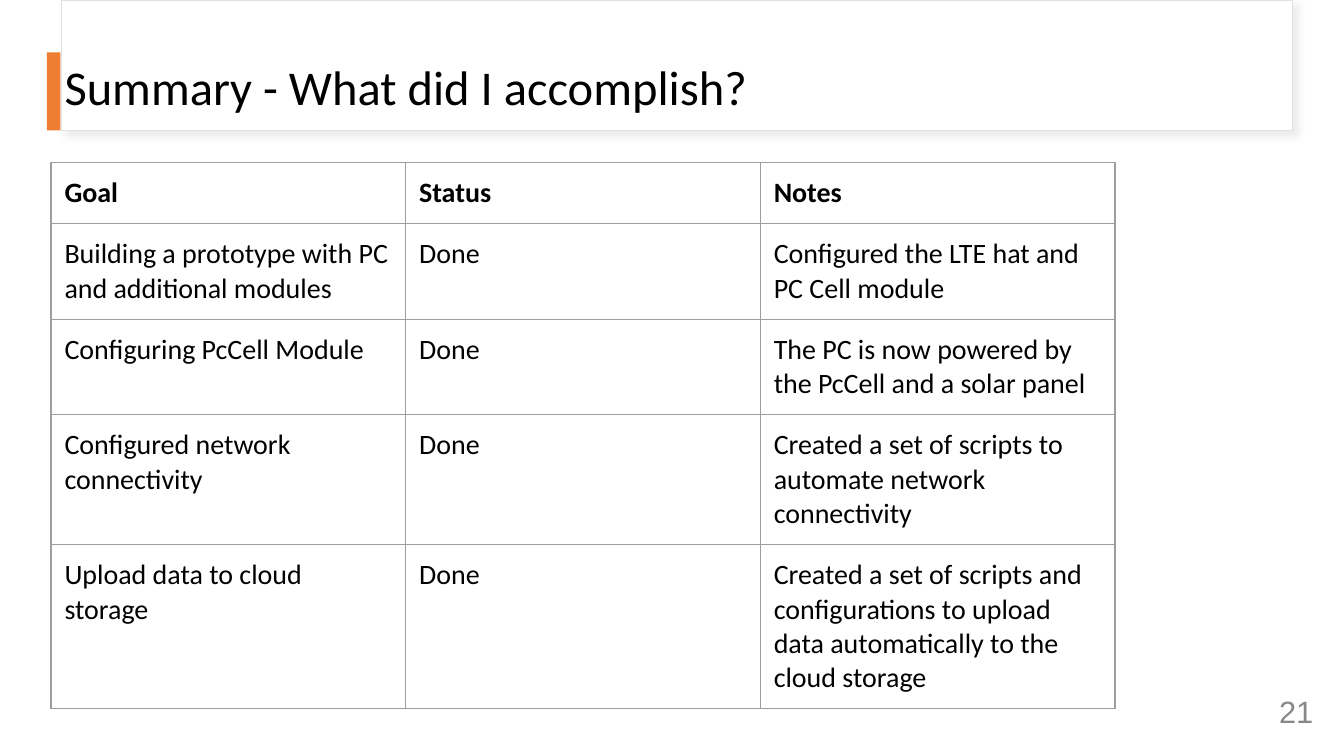
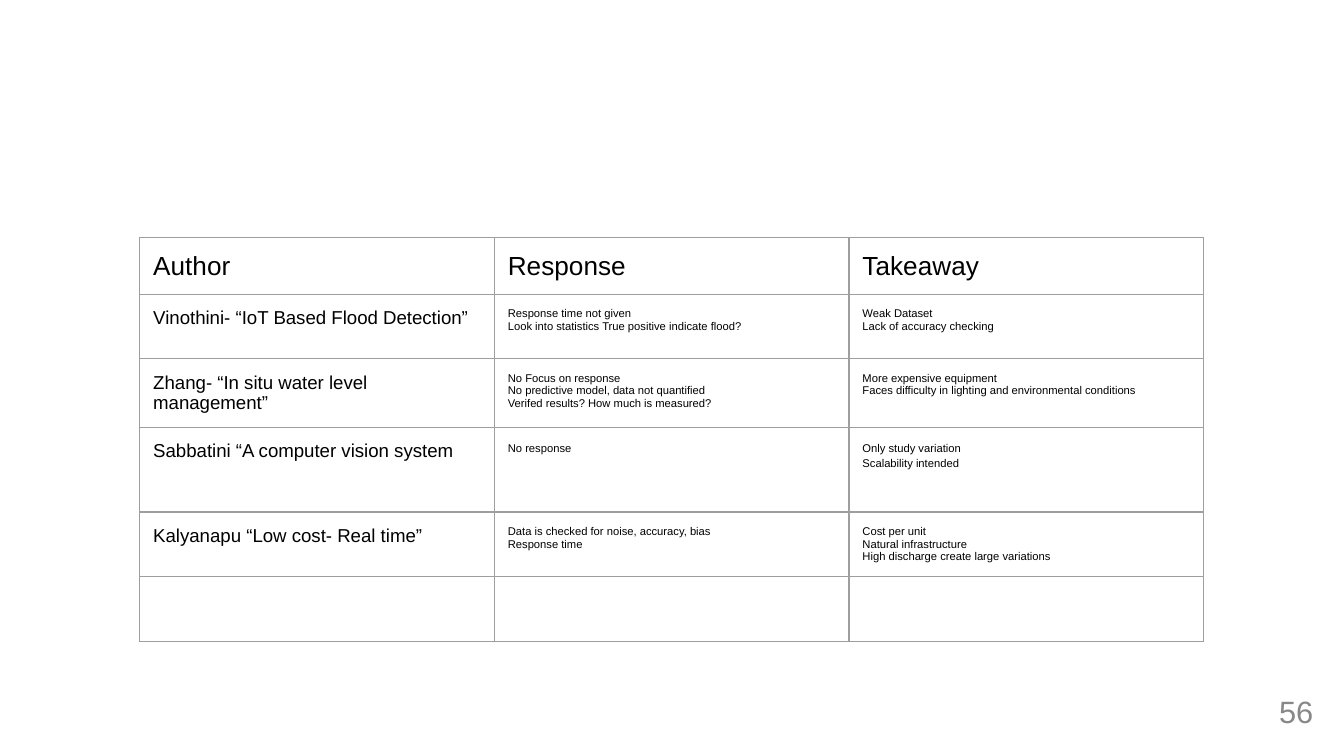
from lxml.etree import SubElement
from pptx import Presentation
from pptx.dml.color import RGBColor
from pptx.enum.shapes import MSO_SHAPE
from pptx.enum.text import MSO_ANCHOR, PP_ALIGN
from pptx.oxml import parse_xml
from pptx.oxml.ns import nsdecls, qn
from pptx.util import Inches, Pt

GOALS = [
    ["Goal", "Status", "Notes"],
    ["Building a prototype with PC and additional modules", "Done",
     "Configured the LTE hat and PC Cell module"],
    ["Configuring PcCell Module", "Done",
     "The PC is now powered by the PcCell and a solar panel"],
    ["Configured network connectivity", "Done",
     "Created a set of scripts to automate network connectivity"],
    ["Upload data to cloud storage", "Done",
     "Created a set of scripts and configurations to upload data "
     "automatically to the cloud storage"],
]
STUDIES = [
    ["Author", "Response", "Takeaway"],
    ["Vinothini- “IoT Based Flood Detection”",
     "Response time not given\nLook into statistics True positive indicate flood?",
     "Weak Dataset\nLack of accuracy checking"],
    ["Zhang- “In situ water level management”",
     "No Focus on response\nNo predictive model, data not quantified\n"
     "Verifed results? How much is measured?",
     "More expensive equipment\n"
     "Faces difficulty in lighting and environmental conditions"],
    ["Sabbatini “A computer vision system", "No response",
     "Only study variation\nScalability intended"],
    ["Kalyanapu “Low cost- Real time”",
     "Data is checked for noise, accuracy, bias\nResponse time",
     "Cost per unit\nNatural infrastructure\nHigh discharge create large variations"],
    ["", "", ""],
]
SLIDES = [
    {"title": "Summary - What did I accomplish?", "number": "21", "rows": GOALS,
     "corner": (0.38, 1.21), "heights": [0.45, 0.71, 0.71, 0.96, 1.22],
     "font": "Calibri", "sizes": (15, 15, 15), "bold_header": True, "loose_rows": ()},
    {"title": None, "number": "56", "rows": STUDIES,
     "corner": (1.04, 1.77), "heights": [0.42, 0.48, 0.51, 0.63, 0.48, 0.48],
     "font": "Arial", "sizes": (14, 10, 6), "bold_header": False, "loose_rows": (3,)},
]

WIDTH = 10
HEIGHT = WIDTH * 9 / 16
COLUMN_WIDTH = Pt(190)
MARGIN = Inches(0.1)
WHITE, BLACK, ORANGE, GREY = "FFFFFF", "000000", "ED7D31", "888888"
BAND_LINE, TABLE_LINE, SHADOW = "E1E1E1", "9E9E9E", "D8D8D8"


def color(value):
    return RGBColor.from_string(value)


def apply(target, values):
    for name, value in values.items():
        setattr(target, name, value)


def write(frame, text, font, size, ink=BLACK, bold=False, **paragraph_format):
    frame.text = text
    for paragraph in frame.paragraphs:
        apply(paragraph, paragraph_format)
        for target in (paragraph.font, *(run.font for run in paragraph.runs)):
            apply(target, {"name": font, "size": Pt(size), "bold": bold})
            target.color.rgb = color(ink)


def set_margins(target):
    apply(target, {f"margin_{side}": MARGIN for side in ("left", "top", "right", "bottom")})


def add_borders(cell):
    properties = cell._tc.get_or_add_tcPr()
    for index, side in enumerate("LRTB"):
        properties.insert(index, parse_xml(
            f'<a:ln{side} {nsdecls("a")} w="{Pt(0.75)}"><a:solidFill>'
            f'<a:srgbClr val="{TABLE_LINE}"/></a:solidFill></a:ln{side}>'))


def add_table(slide, content):
    rows = content["rows"]
    left, top = content["corner"]
    table = slide.shapes.add_table(
        len(rows), len(rows[0]), Inches(left), Inches(top),
        COLUMN_WIDTH * len(rows[0]), Inches(sum(content["heights"]))).table
    apply(table, {"first_row": False, "horz_banding": False})
    for column in table.columns:
        column.width = COLUMN_WIDTH
    header_size, label_size, detail_size = content["sizes"]
    for row_index, texts in enumerate(rows):
        table.rows[row_index].height = Inches(content["heights"][row_index])
        for column_index, text in enumerate(texts):
            cell = table.cell(row_index, column_index)
            cell.fill.background()
            add_borders(cell)
            set_margins(cell)
            header = row_index == 0
            size = header_size if header else detail_size if column_index else label_size
            loose = column_index and row_index in content["loose_rows"]
            write(cell.text_frame, text, content["font"], size,
                  bold=header and content["bold_header"],
                  line_spacing=1.15 if loose else 1.0)


def add_number(slide, number):
    box = slide.shapes.add_textbox(
        Inches(WIDTH - 0.73), Inches(HEIGHT - 0.52), Inches(0.6), Inches(0.43))
    frame = box.text_frame
    set_margins(frame)
    apply(frame, {"word_wrap": True, "vertical_anchor": MSO_ANCHOR.MIDDLE})
    write(frame, number, "Arial", 16.5, GREY, alignment=PP_ALIGN.RIGHT, line_spacing=0.8)


def add_rectangle(slide, left, top, width, height, fill, line=None):
    shape = slide.shapes.add_shape(
        MSO_SHAPE.RECTANGLE, Inches(left), Inches(top), Inches(width), Inches(height))
    shape.shadow.inherit = False
    shape.fill.solid()
    shape.fill.fore_color.rgb = color(fill)
    if line:
        shape.line.color.rgb = color(line)
        shape.line.width = Pt(0.75)
    else:
        shape.line.fill.background()
    return shape


def add_shadow(shape):
    effects = shape._element.spPr.find(qn("a:effectLst"))
    shadow = SubElement(effects, qn("a:outerShdw"), blurRad=str(Pt(4)), dist=str(Pt(3)),
                        dir=str(45 * 60000), algn="tl", rotWithShape="0")
    tint = SubElement(shadow, qn("a:srgbClr"), val=SHADOW)
    SubElement(tint, qn("a:alpha"), val="49000")


def add_title(slide, text):
    add_shadow(add_rectangle(slide, 0.46, 0, 9.16, 0.97, WHITE, BAND_LINE))
    add_rectangle(slide, 0.35, 0.39, 0.1, 0.58, ORANGE)
    title = slide.shapes.title
    apply(title, {"left": Inches(0.38), "top": Inches(0.37),
                  "width": Inches(9.32), "height": Inches(0.63)})
    set_margins(title.text_frame)
    apply(title.text_frame, {"word_wrap": True, "vertical_anchor": MSO_ANCHOR.TOP})
    write(title.text_frame, text, "Calibri", 26, alignment=PP_ALIGN.LEFT, line_spacing=0.9)
    slide.shapes._spTree.append(title._element)


def main():
    presentation = Presentation()
    apply(presentation, {"slide_width": Inches(WIDTH), "slide_height": Inches(HEIGHT)})
    title_only, blank = presentation.slide_layouts[5], presentation.slide_layouts[6]
    for content in SLIDES:
        slide = presentation.slides.add_slide(title_only if content["title"] else blank)
        slide.background.fill.solid()
        slide.background.fill.fore_color.rgb = color(WHITE)
        add_table(slide, content)
        add_number(slide, content["number"])
        if content["title"]:
            add_title(slide, content["title"])
    presentation.save("out.pptx")


if __name__ == "__main__":
    main()
